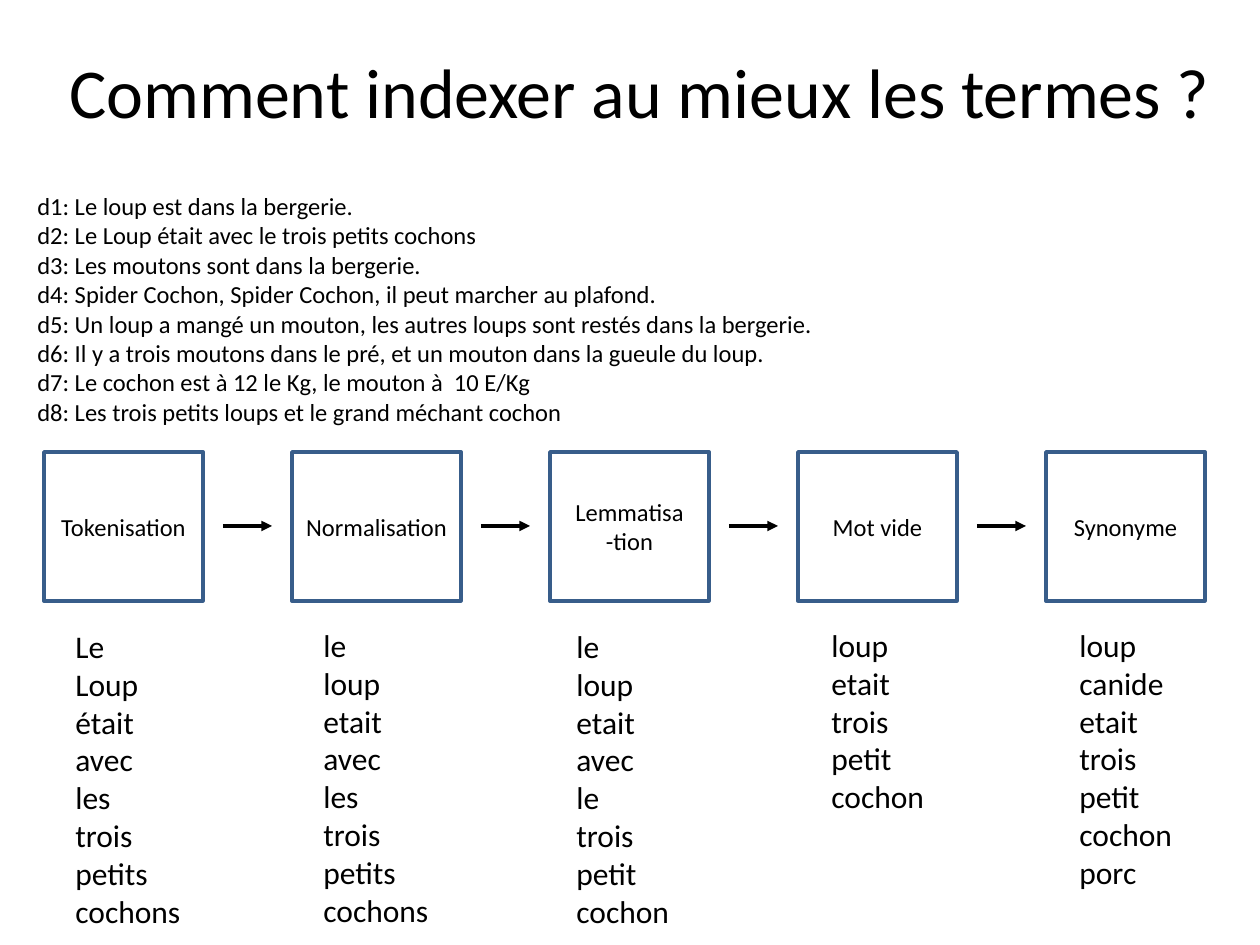
"""Builds a slide on the steps that turn a sentence into index terms."""
from copy import deepcopy

from lxml.etree import SubElement
from pptx import Presentation
from pptx.dml.color import RGBColor
from pptx.enum.shapes import MSO_CONNECTOR as Connector, MSO_SHAPE as Shape
from pptx.enum.text import MSO_ANCHOR as Anchor, MSO_AUTO_SIZE as AutoSize, PP_ALIGN as Align
from pptx.oxml.ns import qn
from pptx.util import Emu, Pt

PX_PER_INCH = 126
BLACK, BLUE = "000000", "385D8A"
STEP_TOP, STEP_HEIGHT, STEP_GAP = 452, 149, 89
ARROW_INSET = 20

TITLE = "Comment indexer au mieux les termes ?"
DOCUMENTS = [
    "Le loup est dans la bergerie.",
    "Le Loup était avec le trois petits cochons",
    "Les moutons sont dans la bergerie.",
    "Spider Cochon, Spider Cochon, il peut marcher au plafond.",
    "Un loup a mangé un mouton, les autres loups sont restés dans la bergerie.",
    "Il y a trois moutons dans le pré, et un mouton dans la gueule du loup.",
    "Le cochon est à 12 le Kg, le mouton à  10 E/Kg",
    "Les trois petits loups et le grand méchant cochon",
]
STEPS = [
    ("Tokenisation", 159, (63, 621, 130), "Le Loup était avec les trois petits cochons"),
    ("Normalisation", 169, (311, 620, 130), "le loup etait avec les trois petits cochons"),
    ("Lemmatisa\v-tion", 159, (564, 621, 118), "le loup etait avec le trois petit cochon"),
    ("Mot vide", 159, (819, 620, 118), "loup etait trois petit cochon"),
    ("Synonyme", 159, (1067, 620, 118), "loup canide etait trois petit cochon porc"),
]


def px(length):
    """Turn pixels into EMU."""
    return Emu(round(length * 914400 / PX_PER_INCH))


def color(hex_code):
    """Turn a hex string into a colour."""
    return RGBColor.from_string(hex_code)


def write(frame, lines, size=14, align=Align.LEFT, anchor=Anchor.TOP, wrap=True,
          fit=AutoSize.NONE, inset_top=6):
    """Fill a text frame with one paragraph per line."""
    frame.word_wrap, frame.auto_size, frame.vertical_anchor = wrap, fit, anchor
    frame.margin_top = px(inset_top)
    for index, line in enumerate(lines):
        paragraph = frame.add_paragraph() if index else frame.paragraphs[0]
        paragraph.text, paragraph.alignment = line, align
        for run in paragraph.runs:
            run.font.name, run.font.size = "Calibri", Pt(size)
            run.font.color.rgb = color(BLACK)
        for line_break in paragraph._p.findall(qn("a:br")):
            line_break.append(deepcopy(paragraph.runs[0]._r.rPr))


def add_title(slide):
    """Place and format the title placeholder."""
    title = slide.shapes.title
    title.left, title.top, title.width, title.height = map(px, (45, 38, 1189, 158))
    write(title.text_frame, [TITLE], size=40, align=Align.CENTER, inset_top=10)


def add_lines(slide, box, lines, **text_format):
    """Add a text box that grows with its lines."""
    frame = slide.shapes.add_textbox(*map(px, box)).text_frame
    write(frame, lines, fit=AutoSize.SHAPE_TO_FIT_TEXT, **text_format)


def add_step(slide, left, width, label):
    """Add an outlined box for one processing step."""
    step = slide.shapes.add_shape(Shape.RECTANGLE, *map(px, (left, STEP_TOP, width, STEP_HEIGHT)))
    step.shadow.inherit = False
    step.fill.background()
    step.line.color.rgb, step.line.width = color(BLUE), Pt(2)
    write(step.text_frame, [label], align=Align.CENTER, anchor=Anchor.MIDDLE)


def add_arrow(slide, start, end):
    """Add a horizontal arrow at mid-height of the steps."""
    middle = STEP_TOP + STEP_HEIGHT // 2
    arrow = slide.shapes.add_connector(Connector.STRAIGHT, *map(px, (start, middle, end, middle)))
    arrow.line.color.rgb, arrow.line.width = color(BLACK), Pt(2)
    SubElement(arrow.line._get_or_add_ln(), qn("a:tailEnd"), type="triangle")
    SubElement(arrow._element.spPr, qn("a:effectLst"))


def main():
    """Build and save the slide."""
    deck = Presentation()
    deck.slide_width, deck.slide_height = px(1260), px(945)
    slide = deck.slides.add_slide(deck.slide_layouts[5])
    add_title(slide)
    documents = [f"d{number}: {text}" for number, text in enumerate(DOCUMENTS, 1)]
    add_lines(slide, (25, 185, 1211, 248), documents)

    left = 44
    for index, (label, width, (list_left, list_top, list_width), terms) in enumerate(STEPS):
        if index:
            add_arrow(slide, left - STEP_GAP + ARROW_INSET, left - ARROW_INSET)
        add_step(slide, left, width, label)
        words = terms.split()
        list_height = 12 + 38 * len(words)
        add_lines(slide, (list_left, list_top, list_width, list_height), words, size=18, wrap=False)
        left += width + STEP_GAP

    deck.save("out.pptx")


if __name__ == "__main__":
    main()
